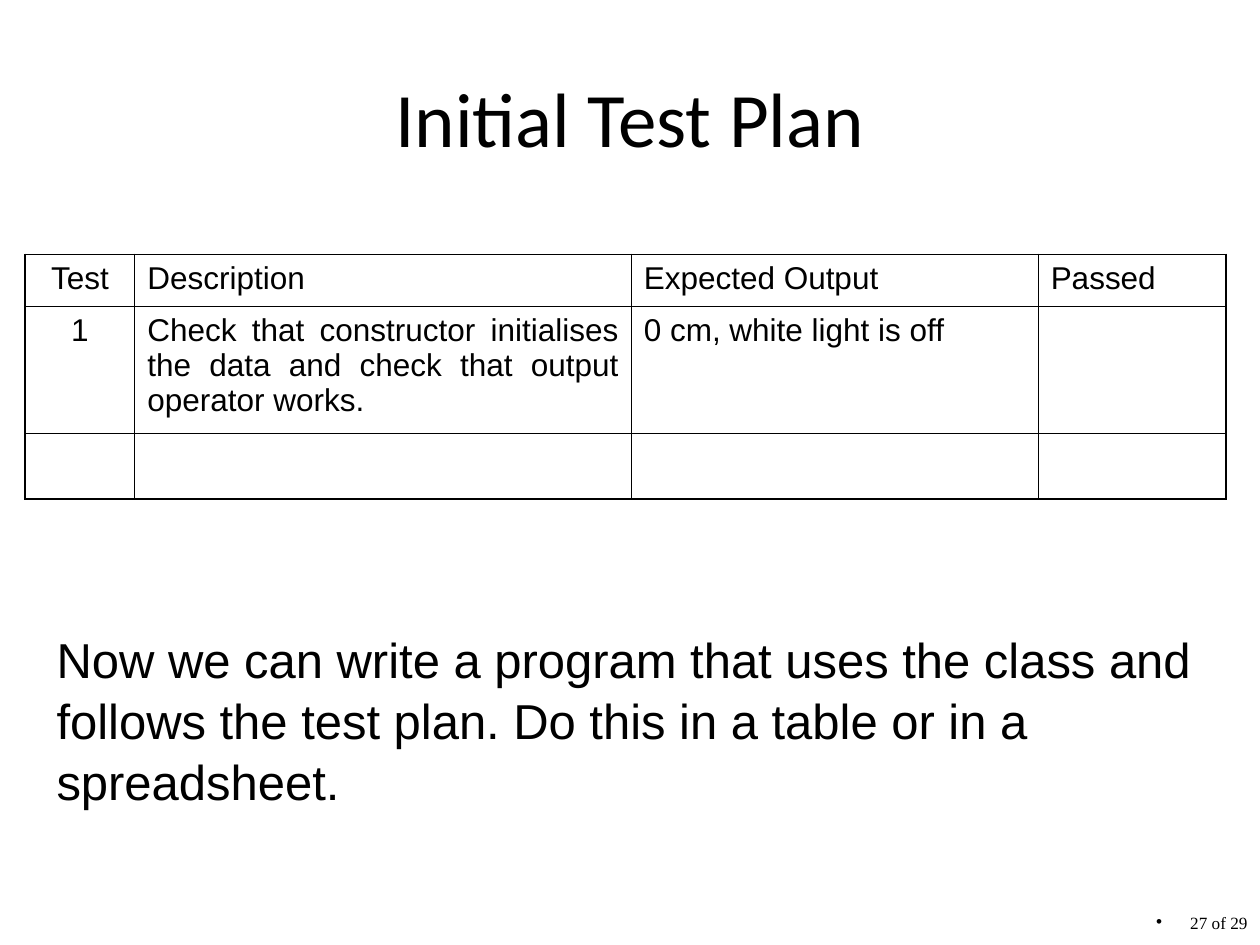
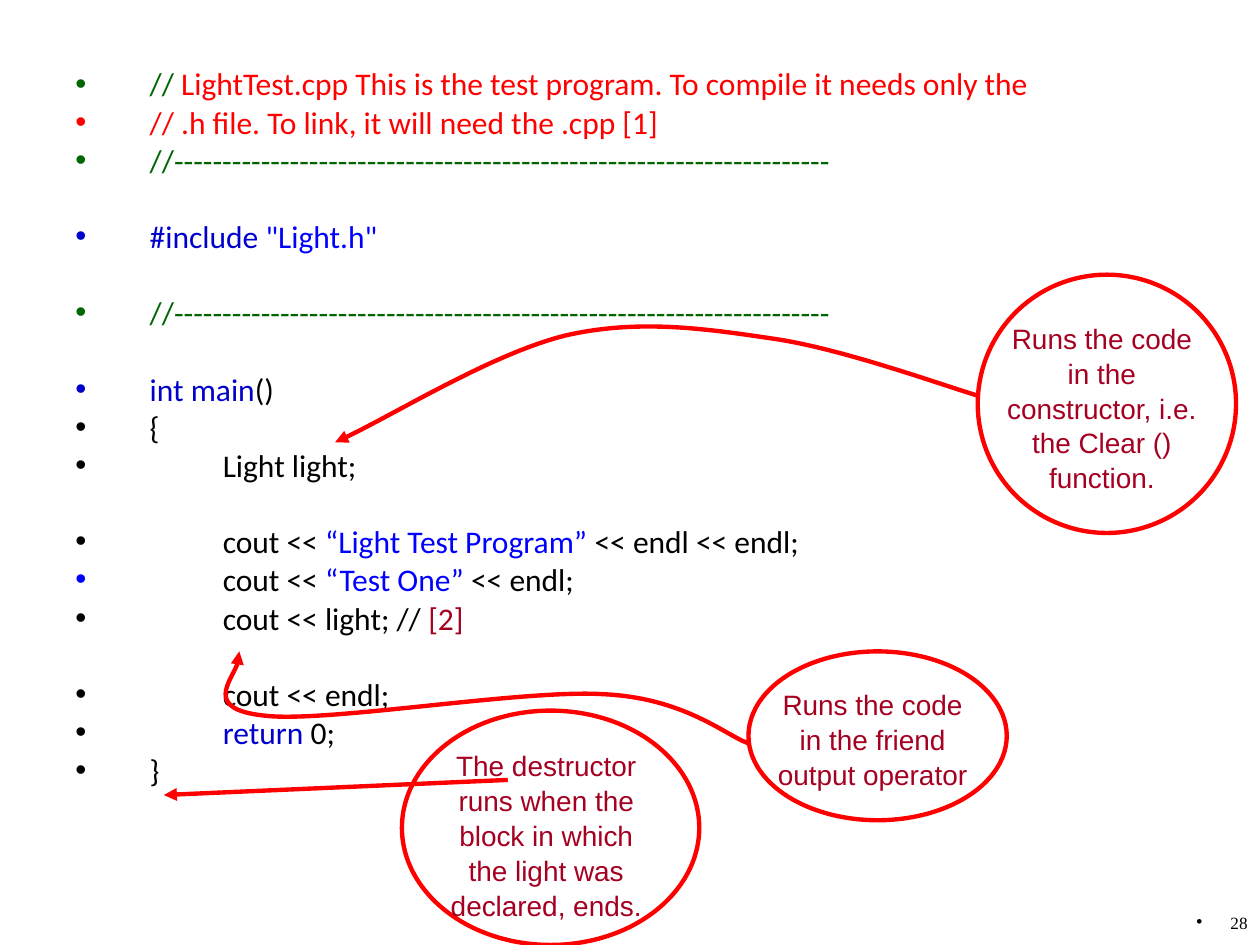
from lxml.etree import SubElement
from pptx import Presentation
from pptx.dml.color import RGBColor
from pptx.enum.shapes import MSO_CONNECTOR as CONN, MSO_SHAPE as SHAPE
from pptx.enum.text import MSO_ANCHOR as ANCHOR, PP_ALIGN as ALIGN
from pptx.oxml.ns import qn
from pptx.util import Inches, Pt

BLACK = RGBColor(0x00, 0x00, 0x00)
WHITE = RGBColor(0xFF, 0xFF, 0xFF)
RED = RGBColor(0xFF, 0x00, 0x00)
GREEN = RGBColor(0x00, 0x66, 0x00)
KEYWORD = RGBColor(0x00, 0x00, 0xCC)
STRING = RGBColor(0x00, 0x00, 0xFF)
MAROON = RGBColor(0xA5, 0x00, 0x21)

TITLE = {"name": "Calibri", "size": Pt(44)}
CODE = {"name": "Calibri", "size": Pt(18)}
CELL = {"name": "Arial", "size": Pt(18)}
BODY = {"name": "Arial", "size": Pt(28)}
NOTE = {"name": "Arial", "size": Pt(16)}
FOOTER = {"name": "Times New Roman", "size": Pt(9.8)}

LINE_GAP = Pt(4.5)
BLOCK_GAP = Pt(26.3)
OUTER, INNER = Pt(1.08), Pt(0.45)

RULE = "//" + "-" * 68
CODE_BLOCKS = [
    [
        [("// ", GREEN), ("LightTest.cpp This is the test program. "
                          "To compile it needs only the", RED)],
        [("// .h file. To link, it will need the .cpp [1]", RED)],
        [(RULE, GREEN)],
    ],
    [[("#include ", KEYWORD), ('"Light.h"', STRING)]],
    [[(RULE, GREEN)]],
    [
        [("int main", KEYWORD), ("()", BLACK)],
        [("{", BLACK)],
        [("\tLight light;", BLACK)],
    ],
    [
        [("\tcout << ", BLACK), ("“Light Test Program” ", STRING),
         ("<< endl << endl;", BLACK)],
        [("\t", STRING), ("cout << ", BLACK), ("“Test One” ", STRING),
         ("<< endl;", BLACK)],
        [("\tcout << light; // ", BLACK), ("[2]", MAROON)],
    ],
    [
        [("\tcout << endl;", BLACK)],
        [("\t", BLACK), ("return", KEYWORD), (" 0;", BLACK)],
        [("}", BLACK)],
    ],
]

TEST_PLAN = [
    ["Test", "Description", "Expected Output", "Passed"],
    ["1", "Check that constructor initialises the data and check that "
          "output operator works.", "0 cm, white light is off", ""],
    ["", "", "", ""],
]
COL_WIDTHS = [0.87, 3.94, 3.23, 1.49]
ROW_HEIGHTS = [0.41, 1.01, 0.52]

CALLOUTS = [
    ("Runs the code in the constructor, i.e. the Clear () function.",
     (7.76, 2.18, 2.05, 2.05), (7.84, 2.49, 1.81, 1.44), WHITE,
     [(7.76, 3.14), (7.49, 3.06), (6.69, 2.77), (6.15, 2.69),
      (5.61, 2.61), (5.08, 2.53), (4.5, 2.66),
      (3.92, 2.8), (3.05, 3.34), (2.66, 3.51)]),
    ("Runs the code in the friend output operator",
     (5.94, 5.17, 2.05, 1.34), (6.02, 5.4, 1.81, 1.17), None,
     [(5.94, 5.9), (5.75, 5.83), (5.43, 5.54), (4.79, 5.51),
      (4.15, 5.47), (2.58, 5.74), (2.1, 5.68),
      (1.61, 5.63), (1.94, 5.27), (1.9, 5.17)]),
    ("The destructor runs when the block in which the light was "
     "declared, ends.",
     (3.19, 5.64, 2.36, 1.86), (3.43, 5.88, 1.81, 1.44), None,
     [(4.03, 6.19), (1.3, 6.31)]),
]


def inches(values):
    """Convert a sequence of numbers to lengths."""
    return [Inches(v) for v in values]


def set_format(target, values):
    """Set attributes from a dict of format values."""
    for name, value in values.items():
        setattr(target, name, value)


def add_run(p, text, font, color=BLACK):
    """Add a formatted run to a paragraph."""
    r = p.add_run()
    r.text = text
    set_format(r.font, font)
    r.font.color.rgb = color


def add_bullet(p, color, indent, tab=None):
    """Give a paragraph a hanging bullet and an optional tab stop."""
    pPr = p._p.get_or_add_pPr()
    pPr.set("marL", str(Inches(indent)))
    pPr.set("indent", str(-Inches(indent)))
    clr = SubElement(pPr, qn("a:buClr"))
    SubElement(clr, qn("a:srgbClr"), val=str(color))
    SubElement(pPr, qn("a:buFont"), typeface="Arial")
    SubElement(pPr, qn("a:buChar"), char="•")
    if tab:
        tabs = SubElement(pPr, qn("a:tabLst"))
        SubElement(tabs, qn("a:tab"), pos=str(Inches(tab)), algn="l")


def add_box(s, box):
    """Add a wrapping text box and return its text frame."""
    tf = s.shapes.add_textbox(*inches(box)).text_frame
    tf.word_wrap = True
    return tf


def add_text(s, box, text, font, color=BLACK, align=ALIGN.LEFT):
    """Add a text box with one paragraph."""
    p = add_box(s, box).paragraphs[0]
    set_format(p, {"alignment": align, "line_spacing": 1.04})
    add_run(p, text, font, color)


def add_title(s, text):
    """Place and fill the title placeholder."""
    title = s.shapes.title
    set_format(title, dict(zip(("left", "top", "width", "height"),
                               inches((0.5, 0.3, 9, 1.25)))))
    tf = title.text_frame
    tf.vertical_anchor = ANCHOR.MIDDLE
    p = tf.paragraphs[0]
    p.alignment = ALIGN.CENTER
    add_run(p, text, TITLE)


def add_footer(s, text, width):
    """Add the bulleted page number in the bottom right corner."""
    p = add_box(s, (10 - width, 7.22, width, 0.28)).paragraphs[0]
    add_bullet(p, BLACK, 0.27)
    set_format(p, {"alignment": ALIGN.RIGHT, "line_spacing": 0.8})
    add_run(p, text, FOOTER)


def add_borders(cell, widths):
    """Draw the left, right, top and bottom borders of a cell."""
    tcPr = cell._tc.get_or_add_tcPr()
    for side, width in zip("LRTB", widths):
        ln = SubElement(tcPr, qn(f"a:ln{side}"), w=str(width))
        fill = SubElement(ln, qn("a:solidFill"))
        SubElement(fill, qn("a:srgbClr"), val=str(BLACK))


def add_test_table(s, left, top):
    """Add the test plan as a ruled table."""
    n_rows, n_cols = len(ROW_HEIGHTS), len(COL_WIDTHS)
    size = (sum(COL_WIDTHS), sum(ROW_HEIGHTS))
    table = s.shapes.add_table(n_rows, n_cols,
                               *inches((left, top, *size))).table
    set_format(table, {"first_row": False, "horz_banding": False})
    for col, width in zip(table.columns, COL_WIDTHS):
        col.width = Inches(width)
    for row, height in zip(table.rows, ROW_HEIGHTS):
        row.height = Inches(height)
    for i, texts in enumerate(TEST_PLAN):
        for j, text in enumerate(texts):
            cell = table.cell(i, j)
            edges = (j == 0, j == n_cols - 1, i == 0, i == n_rows - 1)
            add_borders(cell, [OUTER if edge else INNER for edge in edges])
            cell.fill.solid()
            cell.fill.fore_color.rgb = WHITE
            if text:
                p = cell.text_frame.paragraphs[0]
                p.alignment = ALIGN.JUSTIFY if j else ALIGN.CENTER
                add_run(p, text, CELL)


def add_code(s, box):
    """Add the program listing, one bulleted paragraph a line."""
    tf = add_box(s, box)
    for i, block in enumerate(CODE_BLOCKS):
        for j, runs in enumerate(block):
            first = i == j == 0
            p = tf.paragraphs[0] if first else tf.add_paragraph()
            add_bullet(p, runs[0][1], 0.59, 1.17)
            p.line_spacing = 0.8
            if not first:
                p.space_before = LINE_GAP if j else BLOCK_GAP
            for text, color in runs:
                add_run(p, text, CODE, color)


def set_outline(shape):
    """Give a shape or connector the red callout line."""
    shape.line.color.rgb = RED
    shape.line.width = Pt(2.5)


def add_arrowhead(shape):
    """End a line with a triangle."""
    ln = shape._element.spPr.find(qn("a:ln"))
    SubElement(ln, qn("a:tailEnd"), type="triangle")


def add_straight_arrow(s, start, end):
    """Add a straight arrow between two points."""
    line = s.shapes.add_connector(CONN.STRAIGHT, *inches(start + end))
    set_outline(line)
    SubElement(line._element.spPr, qn("a:effectLst"))
    add_arrowhead(line)


def add_curved_arrow(s, points):
    """Add an arrow along cubic curves given by their control points."""
    start, *rest = [inches(point) for point in points]
    builder = s.shapes.build_freeform(*start)
    builder.add_line_segments(rest, close=False)
    curve = builder.convert_to_shape()
    outline = next(curve._element.iter(qn("a:path")))
    corners = outline.findall(qn("a:lnTo"))
    for k in range(0, len(corners), 3):
        bezier = SubElement(outline, qn("a:cubicBezTo"))
        for corner in corners[k:k + 3]:
            bezier.append(corner[0])
            outline.remove(corner)
    curve.fill.background()
    curve.shadow.inherit = False
    set_outline(curve)
    add_arrowhead(curve)


def add_callout(s, text, oval_box, text_box, fill, points):
    """Add an oval with its text and the arrow to the code."""
    oval = s.shapes.add_shape(SHAPE.OVAL, *inches(oval_box))
    oval.shadow.inherit = False
    if fill is None:
        oval.fill.background()
    else:
        oval.fill.solid()
        oval.fill.fore_color.rgb = fill
    set_outline(oval)
    add_text(s, text_box, text, NOTE, MAROON, ALIGN.CENTER)
    if len(points) == 2:
        add_straight_arrow(s, *points)
    else:
        add_curved_arrow(s, points)


def main():
    """Build both slides and save them."""
    prs = Presentation()
    prs.slide_width, prs.slide_height = inches((10, 7.5))
    title_only, blank = prs.slide_layouts[5], prs.slide_layouts[6]

    s = prs.slides.add_slide(title_only)
    add_title(s, "Initial Test Plan")
    add_footer(s, "27 of 29", 1.14)
    add_test_table(s, 0.2, 2.02)
    add_text(s, (0.35, 4.93, 9.29, 1.5),
             "Now we can write a program that uses the class and follows the "
             "test plan. Do this in a table or in a spreadsheet.", BODY)

    s = prs.slides.add_slide(blank)
    add_code(s, (0.5, 0.52, 9, 6.18))
    add_footer(s, "28", 0.88)
    for callout in CALLOUTS:
        add_callout(s, *callout)

    prs.save("out.pptx")


if __name__ == "__main__":
    main()
